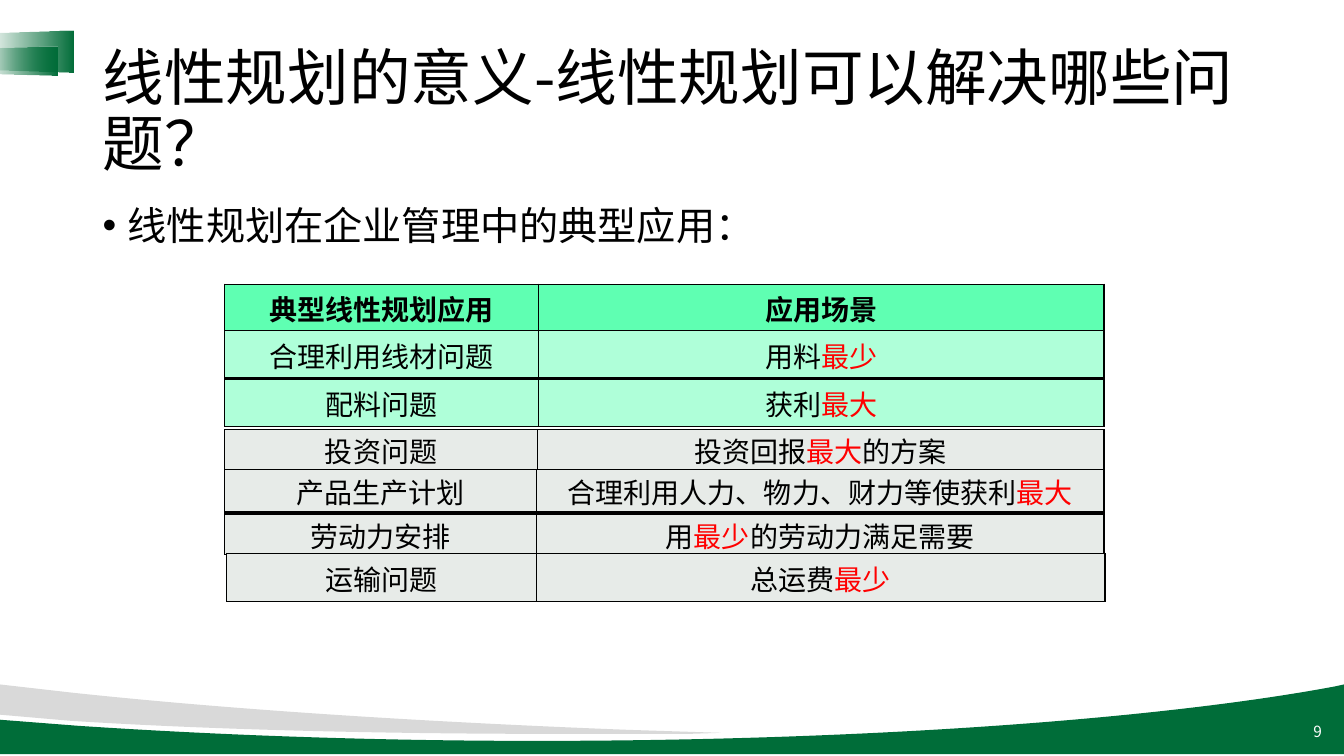
from dataclasses import dataclass

from lxml import etree
from pptx import Presentation
from pptx.dml.color import RGBColor
from pptx.enum.shapes import MSO_SHAPE
from pptx.enum.text import MSO_ANCHOR, PP_ALIGN
from pptx.oxml.ns import qn
from pptx.util import Inches, Pt

TRAPEZOID = MSO_SHAPE.TRAPEZOID
MIDDLE, TOP = MSO_ANCHOR.MIDDLE, MSO_ANCHOR.TOP
LEFT, CENTER, RIGHT = PP_ALIGN.LEFT, PP_ALIGN.CENTER, PP_ALIGN.RIGHT


@dataclass(frozen=True)
class Theme:
    font: str = "Noto Sans CJK SC"
    ink: str = "000000"
    accent: str = "FF0000"
    white: str = "FFFFFF"
    green: str = "006D39"
    gray: str = "D9D9D9"
    header: str = "5FFFB2"
    mint: str = "AFFFD9"
    pale: str = "E7EBE8"
    title_size: int = 44
    body_size: int = 28
    table_size: int = 20
    number_size: int = 11


THEME = Theme()

# Outlines in inches: a pair is a line end, six numbers are a Bezier curve
GREEN_WAVE = [
    (13.33, 6.79), (13.33, 7.48), (0, 7.48), (0, 7.14), (0.77, 7.2),
    (2.12, 7.29, 3.67, 7.35, 5.32, 7.35), (8.62, 7.35, 11.53, 7.13, 13.24, 6.81),
]
GRAY_WAVE = [
    (0, 6.79), (0.7, 6.87), (2.29, 7.04, 4.17, 7.16, 6.22, 7.24), (7.15, 7.27),
    (6.84, 7.28), (6.4, 7.28, 5.94, 7.28, 5.48, 7.28),
    (3.61, 7.28, 1.92, 7.23, 0.69, 7.15), (0, 7.09),
]

# Each table: left, top, column widths, rows of (height, fill, bold, texts);
# words between asterisks take the accent colour
TABLES = [
    (2.23, 2.82, (3.11, 5.61), [
        (0.46, THEME.header, True, ("典型线性规划应用", "应用场景")),
        (0.47, THEME.mint, False, ("合理利用线材问题", "用料*最少*"))]),
    (2.23, 3.76, (3.11, 5.61), [(0.47, THEME.mint, False, ("配料问题", "获利*最大*"))]),
    (2.23, 4.26, (3.1, 5.62), [
        (0.4, THEME.pale, False, ("投资问题", "投资回报*最大*的方案"))]),
    (2.23, 4.66, (3.09, 5.63), [
        (0.42, THEME.pale, False, ("产品生产计划", "合理利用人力、物力、财力等使获利*最大*"))]),
    (2.23, 5.1, (3.09, 5.63), [
        (0.4, THEME.pale, False, ("劳动力安排", "用*最少*的劳动力满足需要"))]),
    (2.25, 5.49, (3.07, 5.64), [(0.48, THEME.pale, False, ("运输问题", "总运费*最少*"))]),
]


def set_all(target, values):
    for name, value in values.items():
        setattr(target, name, value)


def paint(fill, color):
    fill.solid()
    fill.fore_color.rgb = RGBColor.from_string(color)


def add_span(para, text, size, color, bold=False):
    span = para.add_run()
    span.text = text
    set_all(span.font, {"name": THEME.font, "size": Pt(size), "bold": bold})
    span.font.color.rgb = RGBColor.from_string(color)
    east_asian = etree.SubElement(span.font._element, qn("a:ea"))
    east_asian.set("typeface", THEME.font)


def add_bullet(para, indent):
    properties = para._p.get_or_add_pPr()
    properties.set("marL", str(Inches(indent)))
    properties.set("indent", str(-Inches(indent)))
    font = etree.SubElement(properties, qn("a:buFont"))
    font.set("typeface", "Arial")
    etree.SubElement(properties, qn("a:buChar")).set("char", "•")


def add_text(page, place, text, size, color=THEME.ink, anchor=MIDDLE,
             align=LEFT, spacing=0.9, bullet=False):
    box = page.shapes.add_textbox(*map(Inches, place))
    set_all(box.text_frame, {"word_wrap": True, "vertical_anchor": anchor})
    para = box.text_frame.paragraphs[0]
    set_all(para, {"alignment": align, "line_spacing": spacing})
    if bullet:
        add_bullet(para, 0.25)
    add_span(para, text, size, color)


def add_wave(page, outline, color):
    ends = [(Inches(part[-2]), Inches(part[-1])) for part in outline]
    builder = page.shapes.build_freeform(*ends[0])
    builder.add_line_segments(ends[1:], close=True)
    wave = builder.convert_to_shape()
    wave.shadow.inherit = False
    paint(wave.fill, color)
    wave.line.fill.background()
    # Bend the segments that are curves
    segments = list(wave._element.iter(qn("a:lnTo")))
    for segment, part in zip(segments, outline[1:]):
        if len(part) == 6:
            curve = etree.Element(qn("a:cubicBezTo"))
            for x, y in zip(part[::2], part[1::2]):
                etree.SubElement(curve, qn("a:pt"), x=str(Inches(x) - wave.left),
                                 y=str(Inches(y) - wave.top))
            segment.getparent().replace(segment, curve)


def add_ribbon(page, place):
    """A turned trapezoid that fades in from left to right."""
    ribbon = page.shapes.add_shape(TRAPEZOID, *map(Inches, place))
    ribbon.rotation = 270
    ribbon.adjustments[0] = 0.072
    ribbon.shadow.inherit = False
    ribbon.line.fill.background()
    ribbon.fill.gradient()
    ribbon.fill.gradient_angle = 270
    for stop, opacity in zip(ribbon.fill.gradient_stops, (0, 100000)):
        stop.color.rgb = RGBColor.from_string(THEME.green)
        color = stop.color._xFill.find(qn("a:srgbClr"))
        etree.SubElement(color, qn("a:alpha")).set("val", str(opacity))


def add_borders(cell):
    properties = cell._tc.get_or_add_tcPr()
    for index, side in enumerate(("lnL", "lnR", "lnT", "lnB")):
        line = etree.Element(qn(f"a:{side}"), w=str(Pt(1)))
        solid = etree.SubElement(line, qn("a:solidFill"))
        etree.SubElement(solid, qn("a:srgbClr")).set("val", THEME.ink)
        properties.insert(index, line)


def fill_cell(cell, text, color, bold):
    paint(cell.fill, color)
    add_borders(cell)
    set_all(cell, {"vertical_anchor": MIDDLE, "margin_left": Inches(0.01),
                   "margin_right": Inches(0.01), "margin_top": Inches(0.01),
                   "margin_bottom": 0})
    para = cell.text_frame.paragraphs[0]
    para.alignment = CENTER
    for index, piece in enumerate(text.split("*")):
        if piece:
            ink = THEME.accent if index % 2 else THEME.ink
            add_span(para, piece, THEME.table_size, ink, bold)


def add_grid(page, left, top, widths, rows):
    height = sum(row[0] for row in rows)
    place = map(Inches, (left, top, sum(widths), height))
    table = page.shapes.add_table(len(rows), len(widths), *place).table
    set_all(table, {"first_row": False, "horz_banding": False})
    for column, width in zip(table.columns, widths):
        column.width = Inches(width)
    for row, (row_height, color, bold, texts) in zip(table.rows, rows):
        row.height = Inches(row_height)
        for cell, text in zip(row.cells, texts):
            fill_cell(cell, text, color, bold)


def main():
    deck = Presentation()
    set_all(deck, {"slide_width": Inches(13.33), "slide_height": Inches(7.5)})
    page = deck.slides.add_slide(deck.slide_layouts[6])

    # Decoration and page number
    add_wave(page, GREEN_WAVE, THEME.green)
    add_wave(page, GRAY_WAVE, THEME.gray)
    add_ribbon(page, (0.08, 0.07, 0.41, 0.88))
    add_ribbon(page, (0.06, 0.24, 0.29, 0.73))
    add_text(page, (10.21, 7.06, 3, 0.4), "9", THEME.number_size, THEME.white,
             align=RIGHT, spacing=1.0)

    # Title and lead line
    add_text(page, (0.92, 0.4, 11.5, 1.45), "线性规划的意义-线性规划可以解决哪些问题？",
             THEME.title_size)
    add_text(page, (0.92, 2, 11.5, 4.76), "线性规划在企业管理中的典型应用：",
             THEME.body_size, anchor=TOP, bullet=True)

    # Application tables
    for table in TABLES:
        add_grid(page, *table)

    deck.save("out.pptx")


if __name__ == "__main__":
    main()
